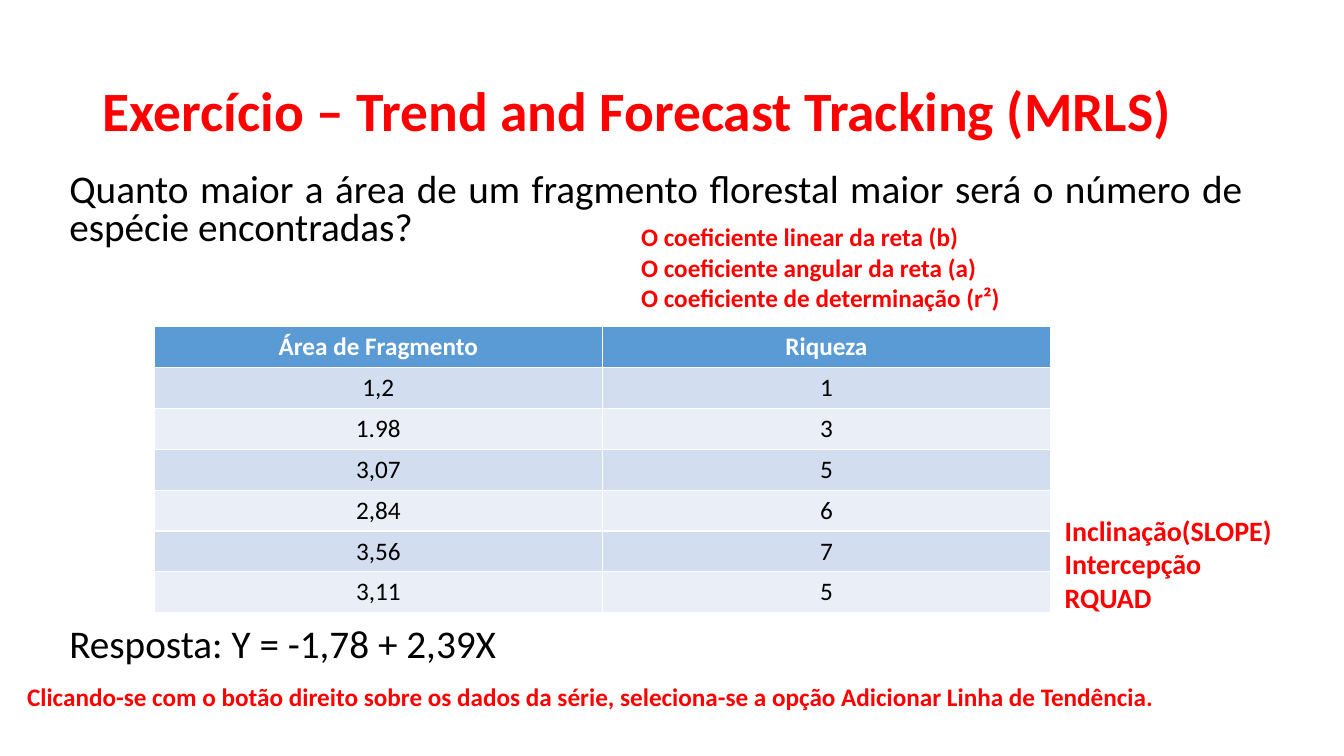
"""Build the slide on species richness and forest fragment area."""
from dataclasses import dataclass

from pptx import Presentation
from pptx import util as u
from pptx.dml.color import RGBColor
from pptx.enum import text


@dataclass(frozen=True)
class Theme:
    """Font, colours and type sizes of the slide."""
    font: str = "Calibri"
    accent: str = "FF0000"
    ink: str = "000000"
    white: str = "FFFFFF"
    header: str = "5B9BD5"
    bands: tuple = ("D2DEEF", "EAEFF7")
    title: float = 39.6
    body: float = 28
    note: float = 20
    small: float = 18


THEME = Theme()
ALIGN = text.PP_ALIGN
QUESTION = ("Quanto maior a área de um fragmento florestal maior será "
            "o número de espécie encontradas?")
ANSWER = "Resposta: Y = -1,78 + 2,39X"
RICHNESS = [
    ("Área de Fragmento", "Riqueza"),
    ("1,2", "1"),
    ("1.98", "3"),
    ("3,07", "5"),
    ("2,84", "6"),
    ("3,56", "7"),
    ("3,11", "5"),
]
COEFFICIENTS = ("O coeficiente linear da reta (b)\n"
                "O coeficiente angular da reta (a)\n"
                "O coeficiente de determinação (r²)")
FUNCTIONS = "Inclinação(SLOPE)\nIntercepção\nRQUAD"
HINT = ("Clicando-se com o botão direito sobre os dados da série, "
        "seleciona-se a opção Adicionar Linha de Tendência.")


def place(shape, left, top, width, height):
    """Move and size a shape in inches."""
    shape.left, shape.top = u.Inches(left), u.Inches(top)
    shape.width, shape.height = u.Inches(width), u.Inches(height)


def style(tf, size, color, bold=False, align=ALIGN.LEFT, spacing=1.0):
    """Format every paragraph and run of a text frame."""
    for p in tf.paragraphs:
        p.alignment = align
        p.line_spacing = spacing
        for r in p.runs:
            r.font.name = THEME.font
            r.font.size = u.Pt(size)
            r.font.bold = bold
            r.font.color.rgb = RGBColor.from_string(color)


def add_title(s, words):
    """Fill and format the title placeholder."""
    sp = s.shapes.title
    place(sp, 0.92, 0.4, 11.5, 1.45)
    tf = sp.text_frame
    tf.text = words
    tf.auto_size = text.MSO_AUTO_SIZE.NONE
    tf.vertical_anchor = text.MSO_ANCHOR.MIDDLE
    style(tf, THEME.title, THEME.accent, bold=True, spacing=0.9)


def add_text(s, words, box):
    """Add a wrapping text box and return its text frame."""
    tf = s.shapes.add_textbox(*map(u.Inches, box)).text_frame
    tf.word_wrap = True
    tf.text = words
    return tf


def add_body(s):
    """Add the question, with its answer below the table."""
    tf = add_text(s, f"{QUESTION}\n{ANSWER}", (0.59, 1.67, 11.83, 5.09))
    style(tf, THEME.body, THEME.ink, align=ALIGN.JUSTIFY, spacing=0.8)
    answer = tf.paragraphs[1]
    answer.alignment = ALIGN.LEFT
    answer.space_before = u.Pt(271)


def add_note(s, words, box, size):
    """Add a bold red note."""
    style(add_text(s, words, box), size, THEME.accent, bold=True)


def add_richness_table(s, rows):
    """Add the table with a header and banded rows."""
    box = map(u.Inches, (1.53, 3.24, 8.89, 2.84))
    table = s.shapes.add_table(len(rows), len(rows[0]), *box).table
    for i, row in enumerate(rows):
        is_header = i == 0
        fill = THEME.header if is_header else THEME.bands[(i - 1) % 2]
        color = THEME.white if is_header else THEME.ink
        for j, value in enumerate(row):
            cell = table.cell(i, j)
            cell.fill.solid()
            cell.fill.fore_color.rgb = RGBColor.from_string(fill)
            cell.text_frame.text = value
            style(cell.text_frame, THEME.small, color, is_header, ALIGN.CENTER)


def main():
    """Build and save the slide."""
    prs = Presentation()
    prs.slide_width, prs.slide_height = u.Inches(13.33), u.Inches(7.5)
    s = prs.slides.add_slide(prs.slide_layouts.get_by_name("Title Only"))
    add_title(s, "Exercício – Trend and Forecast Tracking (MRLS)")
    add_body(s)
    add_richness_table(s, RICHNESS)
    add_note(s, FUNCTIONS, (10.46, 5.04, 2.55, 1.11), THEME.note)
    add_note(s, COEFFICIENTS, (6.26, 2.15, 5.02, 1.01), THEME.small)
    add_note(s, HINT, (0.17, 6.71, 12.97, 0.4), THEME.small)
    prs.save("out.pptx")


if __name__ == "__main__":
    main()
